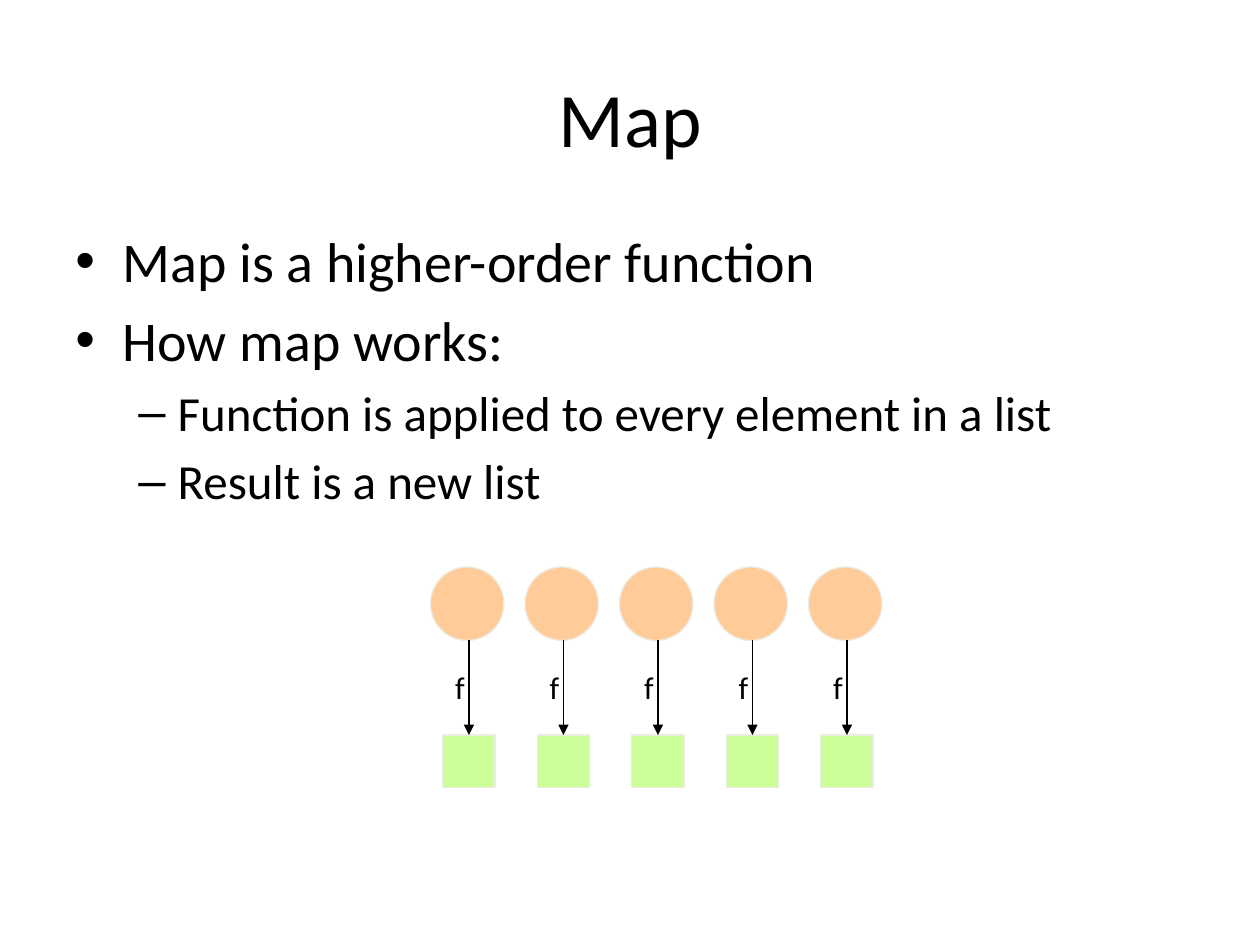
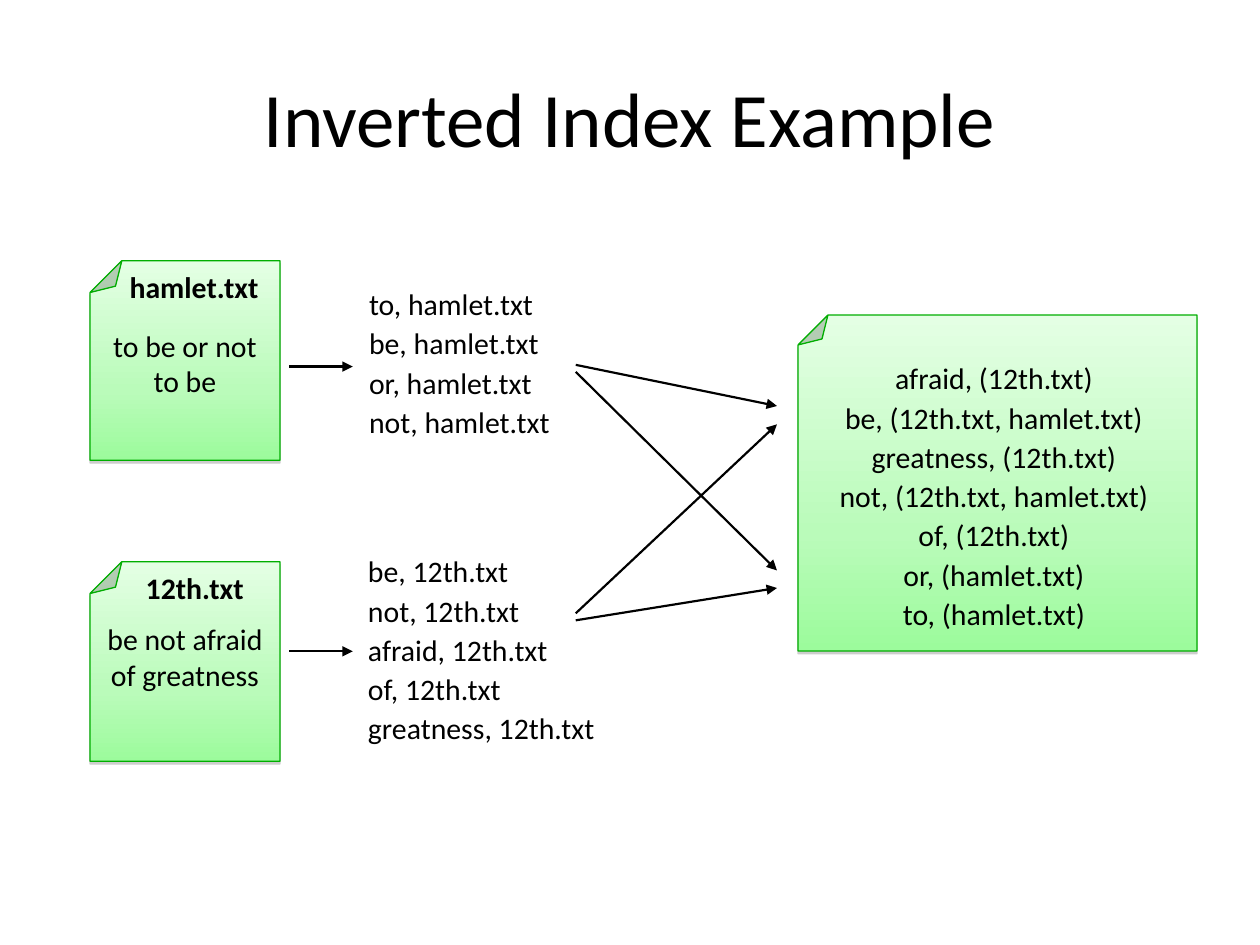
from copy import deepcopy

from lxml import etree
from pptx import Presentation
from pptx.dml.color import RGBColor
from pptx.enum import shapes, text
from pptx.oxml.ns import qn
from pptx.util import Pt

FONT = "Calibri"
COLORS = {
    "ink": "000000",
    "edge": "EEECE1",
    "input": "FFCC99",
    "result": "CCFF99",
    "note_edge": "00AE00",
    "shadow": "808080",
}
NOTE_STOPS = [(0, "9CFB9C"), (0.35, "BAFBBA"), (1, "E4FFE4")]
LEFT, CENTER = text.PP_ALIGN.LEFT, text.PP_ALIGN.CENTER


def rgb(name):
    return RGBColor.from_string(COLORS[name])


def add_run(p, words, size, bold=False):
    r = p.add_run()
    r.text = words
    r.font.name = FONT
    r.font.size = Pt(size)
    r.font.bold = bold
    r.font.color.rgb = rgb("ink")


def add_frame(s, x, y, w, h, anchor=text.MSO_ANCHOR.TOP, wrap=True):
    tf = s.shapes.add_textbox(Pt(x), Pt(y), Pt(w), Pt(h)).text_frame
    tf.word_wrap = wrap
    tf.vertical_anchor = anchor
    return tf


def paragraphs(tf, items):
    """Yield each item with its paragraph, starting from the frame's first one."""
    for i, item in enumerate(items):
        yield (tf.add_paragraph() if i else tf.paragraphs[0]), item


def add_lines(s, lines, x, y, w, h, align=LEFT, size=17, bold=False, gap=2, wrap=True):
    tf = add_frame(s, x, y, w, h, wrap=wrap)
    for p, line in paragraphs(tf, lines):
        p.alignment = align
        p.space_before = Pt(gap)
        add_run(p, line, size, bold)


def add_title(s, words):
    p = add_frame(s, 36, 21.6, 648, 90, text.MSO_ANCHOR.MIDDLE).paragraphs[0]
    p.alignment = CENTER
    add_run(p, words, 44)


def add_bullets(s, items):
    """Place (level, words) pairs as a bulleted list."""
    styles = [("•", 32, 27, 27), ("–", 28, 58.5, 22.5)]
    tf = add_frame(s, 36, 126, 648, 356.4)
    for p, (level, words) in paragraphs(tf, items):
        mark, size, margin, hang = styles[level]
        p.level = level
        p.space_before = Pt(size * 0.2)
        add_run(p, words, size)
        pPr = p._p.get_or_add_pPr()
        pPr.set("marL", str(Pt(margin)))
        pPr.set("indent", str(-Pt(hang)))
        etree.SubElement(pPr, qn("a:buFont"), typeface="Arial")
        etree.SubElement(pPr, qn("a:buChar"), char=mark)


def add_arrow(s, x1, y1, x2, y2, width=1.25):
    c = s.shapes.add_connector(
        shapes.MSO_CONNECTOR.STRAIGHT, Pt(x1), Pt(y1), Pt(x2), Pt(y2))
    c.line.color.rgb = rgb("ink")
    c.line.width = Pt(width)
    etree.SubElement(c.line._get_or_add_ln(), qn("a:tailEnd"), type="triangle")
    etree.SubElement(c._element.spPr, qn("a:effectLst"))
    return c


def add_outlined(s, kind, x, y, w, h, edge):
    sp = s.shapes.add_shape(kind, Pt(x), Pt(y), Pt(w), Pt(h))
    sp.shadow.inherit = False
    sp.line.color.rgb = rgb(edge)
    sp.line.width = Pt(0.75)
    return sp


def add_solid(s, kind, x, y, side, color):
    sp = add_outlined(s, kind, x, y, side, side, "edge")
    sp.fill.solid()
    sp.fill.fore_color.rgb = rgb(color)
    return sp


def add_note(s, x, y, w, h, fold):
    """Draw a green sheet, turned so that its folded corner is at top left."""
    sp = add_outlined(s, shapes.MSO_SHAPE.FOLDED_CORNER, x, y, w, h, "note_edge")
    sp.rotation = 180
    spPr = sp._element.spPr
    etree.SubElement(spPr.find(".//" + qn("a:avLst")), qn("a:gd"),
                     name="adj", fmla=f"val {round(fold * 100000)}")
    sp.fill.gradient()
    sp.fill.gradient_angle = 270
    gs_list = spPr.find(".//" + qn("a:gsLst"))
    gs_list.append(deepcopy(gs_list[-1]))
    for stop, (position, color) in zip(sp.fill.gradient_stops, NOTE_STOPS):
        stop.position = position
        stop.color.rgb = RGBColor.from_string(color)
    shadow = etree.SubElement(
        spPr.find(qn("a:effectLst")), qn("a:outerShdw"), blurRad="0",
        dist=str(Pt(1.6)), dir="5400000", rotWithShape="0")
    clr = etree.SubElement(shadow, qn("a:srgbClr"), val=COLORS["shadow"])
    etree.SubElement(clr, qn("a:alpha"), val="38000")


def add_mapping(s, x):
    """Draw one list element, the function f and its result."""
    add_solid(s, shapes.MSO_SHAPE.OVAL, x, 324, 42, "input")
    box = add_solid(s, shapes.MSO_SHAPE.RECTANGLE, x + 7, 420, 30, "result")
    add_arrow(s, x + 22, 366, x + 22, 420, 0.75).end_connect(box, 0)
    add_lines(s, ["f"], x + 7, 378, 20, 26.6, size=18, gap=0, wrap=False)


def build_map(s):
    add_title(s, "Map")
    add_bullets(s, [
        (0, "Map is a higher-order function"),
        (0, "How map works:"),
        (1, "Function is applied to every element in a list"),
        (1, "Result is a new list"),
    ])
    for i in range(5):
        add_mapping(s, 246 + 54 * i)


def build_index(s):
    add_title(s, "Inverted Index Example")
    documents = [
        # name, name left and width, sheet top, content, content top, arrow y
        ("hamlet.txt", 59.8, 102.2, 149, "to be or not to be", 183.6, 209.5),
        ("12th.txt", 63.4, 95.8, 321, "be not afraid of greatness", 351.4, 372.2),
    ]
    for name, name_x, name_w, top, content, content_y, arrow_y in documents:
        add_note(s, 51.5, top, 108.5, 114, 0.167)
        add_lines(s, [name], name_x, top + 0.8, name_w, 28, CENTER, bold=True, gap=8.5)
        add_lines(s, [content], 51.2, content_y, 109, 48, CENTER, gap=8.5)
        add_arrow(s, 165.4, arrow_y, 201.6, arrow_y)

    add_lines(s, ["to, hamlet.txt", "be, hamlet.txt", "or, hamlet.txt", "not, hamlet.txt"],
              203.8, 159.8, 144, 146)
    add_lines(s, ["be, 12th.txt", "not, 12th.txt", "afraid, 12th.txt", "of, 12th.txt",
                  "greatness, 12th.txt"], 203.2, 312.5, 204.5, 170)

    for start_y, end_y in [(208.5, 232), (212.5, 326), (354.5, 336), (350.5, 242.5)]:
        add_arrow(s, 329, start_y, 444, end_y)

    add_note(s, 456, 180, 228, 192, 0.089)
    add_lines(s, ["afraid, (12th.txt)", "be, (12th.txt, hamlet.txt)",
                  "greatness, (12th.txt)", "not, (12th.txt, hamlet.txt)",
                  "of, (12th.txt)", "or, (hamlet.txt)", "to, (hamlet.txt)"],
              445, 202.3, 246, 163.4, CENTER)


def main():
    prs = Presentation()
    prs.slide_width, prs.slide_height = Pt(720), Pt(540)
    for build in (build_map, build_index):
        build(prs.slides.add_slide(prs.slide_layouts[6]))
    prs.save("out.pptx")


if __name__ == "__main__":
    main()
